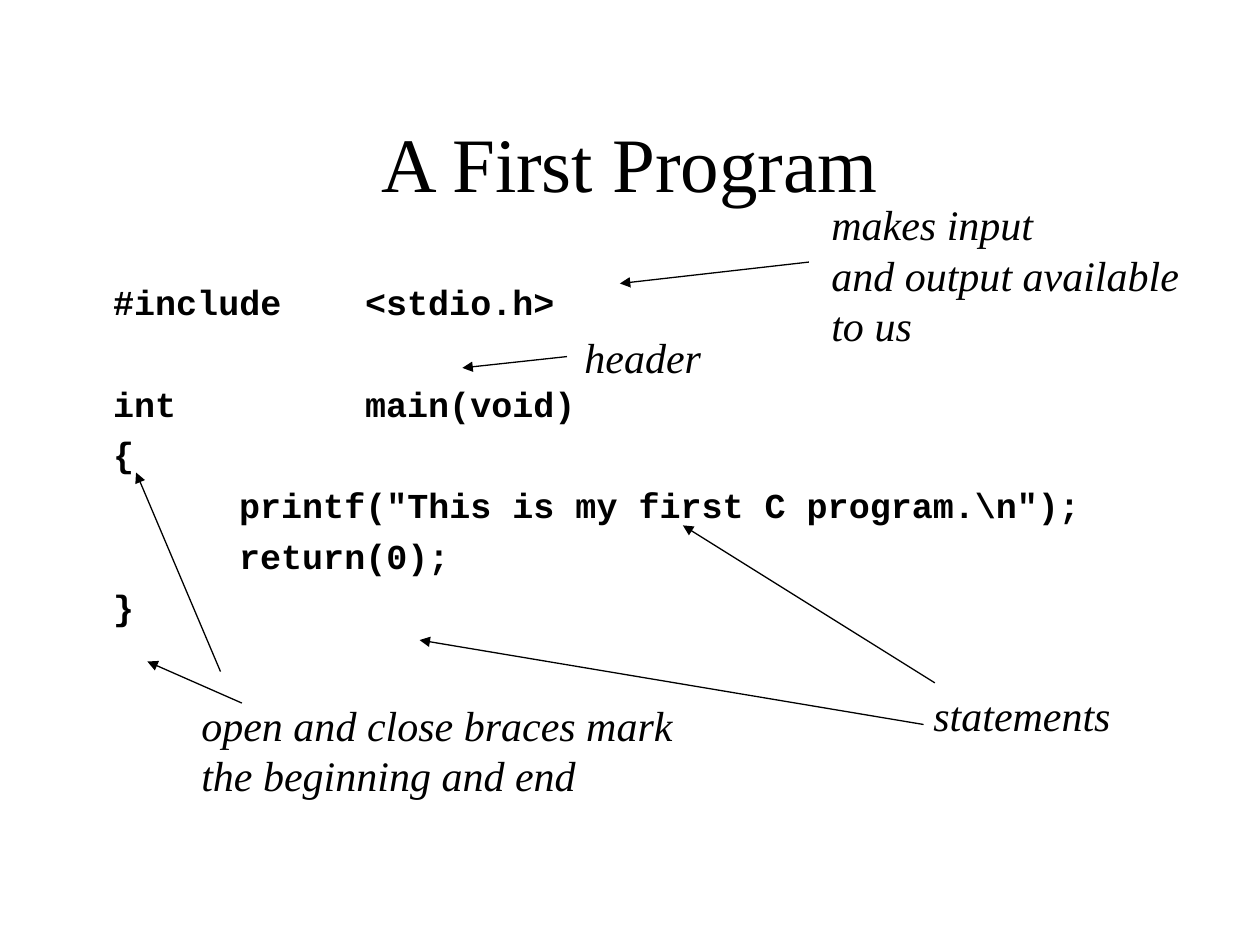
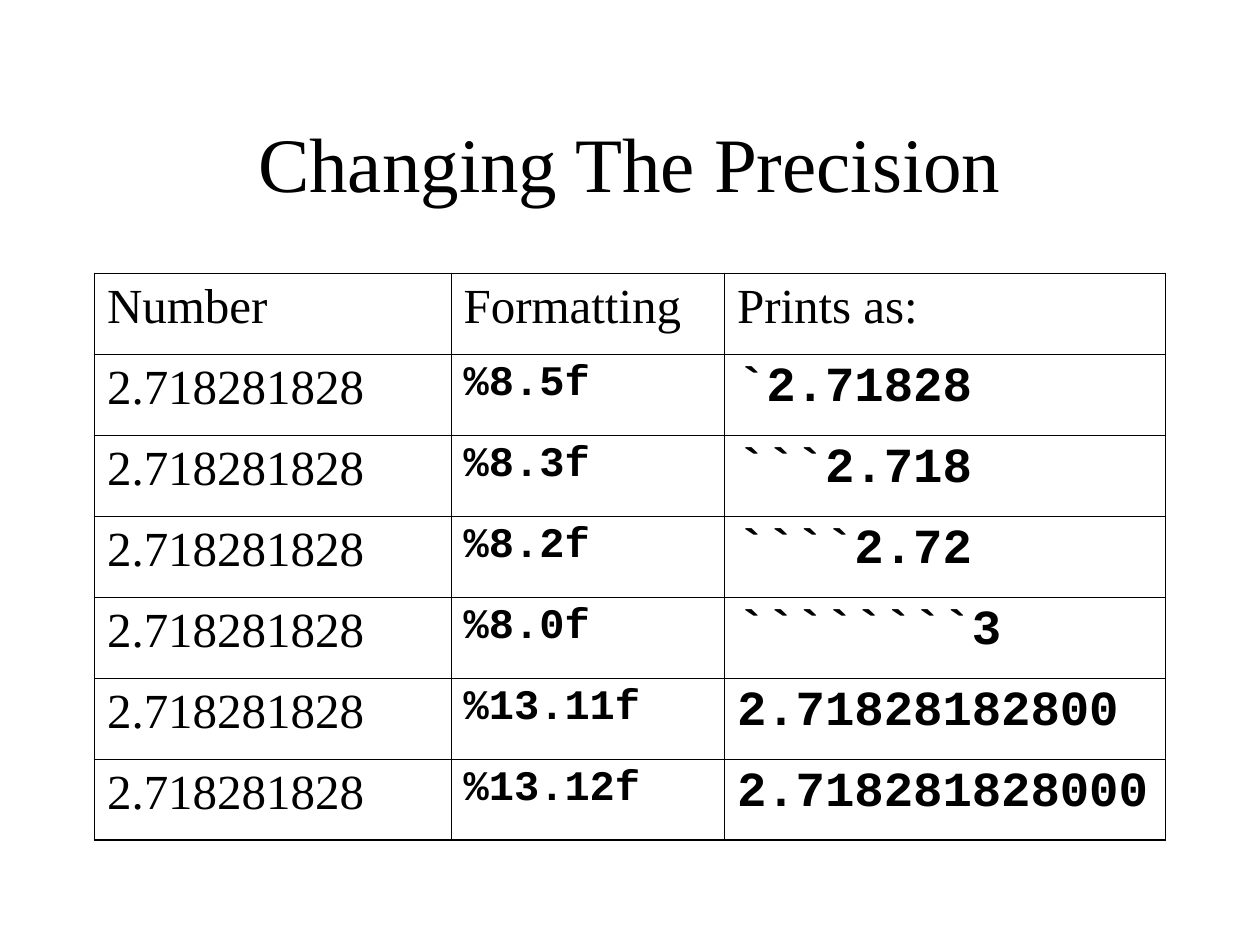
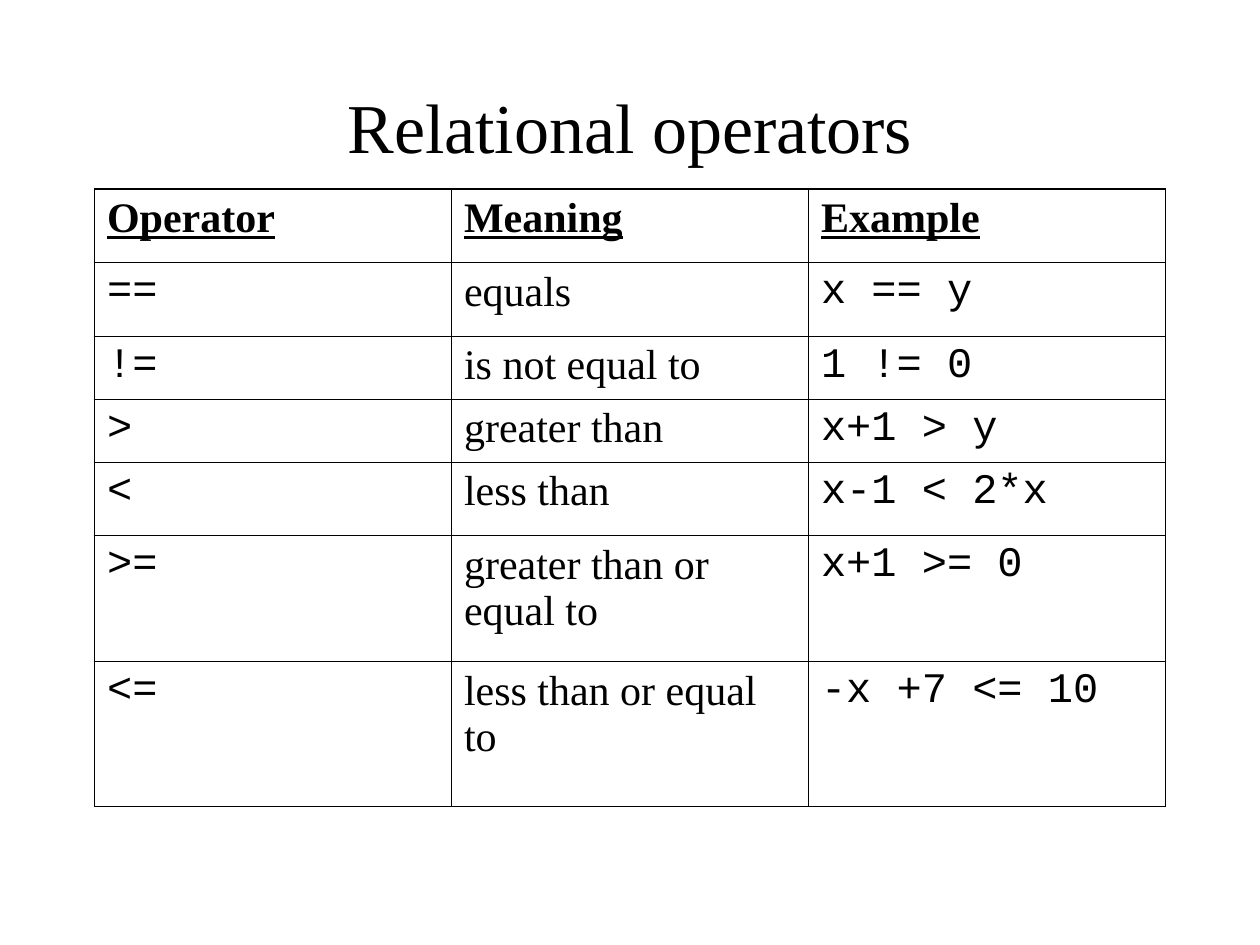
from lxml import etree
from pptx import Presentation
from pptx.dml.color import RGBColor
from pptx.enum.shapes import MSO_CONNECTOR
from pptx.enum.text import MSO_ANCHOR, PP_ALIGN
from pptx.oxml.ns import qn
from pptx.util import Inches, Pt

STRAIGHT = MSO_CONNECTOR.STRAIGHT
MIDDLE = MSO_ANCHOR.MIDDLE
CENTER = PP_ALIGN.CENTER

SERIF = "Times New Roman"
MONO = "Courier New"
BLACK = "000000"
MARGIN = 0.75
CONTENT_WIDTH = 8.5
LINE_FACTOR = 1.2
OUTER_LINE, INNER_LINE = 1.08, 0.45

CODE_SIZE = 20
CODE_PITCH = 29
# Each entry: blank lines before it, then the line itself
CODE_LINES = [
    (0, "#include\t<stdio.h>"),
    (1, "int\t\tmain(void)"),
    (0, "{"),
    (0, "\tprintf(\"This is my first C program.\\n\");"),
    (0, "\treturn(0);"),
    (0, "}"),
]
# Each callout: box, text lines, arrows as (start, end)
CALLOUTS = [
    ((7.31, 5.42, 1.7, 0.5), ["statements"],
     [((7.42, 5.42), (5.42, 4.17)), ((7.33, 5.75), (3.33, 5.08))]),
    ((4.54, 2.58, 1.22, 0.5), ["header"],
     [((4.5, 2.83), (3.67, 2.92))]),
    ((1.5, 5.5, 4.04, 0.9),
     ["open and close braces mark", "the beginning and end"],
     [((1.92, 5.58), (1.17, 5.25)), ((1.75, 5.33), (1.08, 3.75))]),
    ((6.5, 1.53, 3.06, 1.3),
     ["makes input", "and output available", "to us"],
     [((6.42, 2.08), (4.92, 2.25))]),
]

NUMBER = "2.718281828"
PRECISION_HEADER = ["Number", "Formatting", "Prints as:"]
PRECISION_ROWS = [(NUMBER, pattern, printed) for pattern, printed in [
    ("%8.5f", "`2.71828"),
    ("%8.3f", "```2.718"),
    ("%8.2f", "````2.72"),
    ("%8.0f", "````````3"),
    ("%13.11f", "2.71828182800"),
    ("%13.12f", "2.718281828000"),
]]
PRECISION_HEADER_STYLE = {"size": 28, "font": SERIF}
PRECISION_STYLES = [
    {"size": 28, "font": SERIF},
    {"size": 24, "font": MONO, "bold": True},
    {"size": 28, "font": MONO, "bold": True},
]

OPERATOR_HEADER = ["Operator", "Meaning", "Example"]
OPERATOR_ROWS = [
    ("==", "equals", "x == y"),
    ("!=", "is not equal to", "1 != 0"),
    (">", "greater than", "x+1 > y"),
    ("<", "less than", "x-1 < 2*x"),
    (">=", "greater than or equal to", "x+1 >= 0"),
    ("<=", "less than or equal to", "-x +7 <= 10"),
]
OPERATOR_HEADER_STYLE = {"size": 24, "font": SERIF, "bold": True, "underline": True}
OPERATOR_STYLES = [{"size": 24, "font": font} for font in (MONO, SERIF, MONO)]
TALL_ROW = 7 / 12
OPERATOR_HEIGHTS = [TALL_ROW, TALL_ROW, 0.5, 0.5, TALL_ROW, 1, 1.15]


def color(hex_value):
    return RGBColor.from_string(hex_value)


def add_run(paragraph, text, size, font, bold=False, italic=False, underline=False):
    run = paragraph.add_run()
    run.text = text
    run.font.size = Pt(size)
    run.font.name = font
    run.font.bold = bold
    run.font.italic = italic
    run.font.underline = underline
    run.font.color.rgb = color(BLACK)


def add_text_box(slide, box, lines, pitch, **style):
    """Add one paragraph per line, with a fixed line pitch in points."""
    frame = slide.shapes.add_textbox(*map(Inches, box)).text_frame
    frame.word_wrap = True
    for index, line in enumerate(lines):
        paragraph = frame.paragraphs[0] if index == 0 else frame.add_paragraph()
        paragraph.line_spacing = Pt(pitch)
        add_run(paragraph, line, **style)
    return frame


def add_title(slide, text, size=44, height=1.25):
    frame = add_text_box(slide, (MARGIN, 0.66, CONTENT_WIDTH, height), [text],
                         size * LINE_FACTOR, size=size, font=SERIF)
    frame.vertical_anchor = MIDDLE
    frame.paragraphs[0].alignment = CENTER


def add_code(slide):
    frame = add_text_box(slide, (0.8, 2.11, CONTENT_WIDTH, 4.5),
                         [line for _, line in CODE_LINES], CODE_PITCH,
                         size=CODE_SIZE, font=MONO, bold=True)
    for paragraph, (blank_lines, _) in zip(frame.paragraphs, CODE_LINES):
        paragraph.space_before = Pt(blank_lines * CODE_PITCH)
        properties = paragraph._p.get_or_add_pPr()
        tabs = etree.SubElement(properties, qn("a:tabLst"))
        for inch in range(1, 8):
            etree.SubElement(tabs, qn("a:tab"), pos=str(Inches(inch)), algn="l")


def add_arrow(slide, start, end):
    connector = slide.shapes.add_connector(STRAIGHT, *map(Inches, start + end))
    connector.line.color.rgb = color(BLACK)
    connector.line.width = Pt(0.75)
    etree.SubElement(connector.line._get_or_add_ln(), qn("a:tailEnd"), type="triangle")
    etree.SubElement(connector._element.spPr, qn("a:effectLst"))


def add_callout(slide, box, lines, arrows):
    for start, end in arrows:
        add_arrow(slide, start, end)
    size = 24
    add_text_box(slide, box, lines, size * LINE_FACTOR,
                 size=size, font=SERIF, italic=True)


def set_border(cell, side, width):
    line = etree.SubElement(cell._tc.get_or_add_tcPr(), qn(f"a:ln{side}"),
                            w=str(Pt(width)))
    fill = etree.SubElement(line, qn("a:solidFill"))
    etree.SubElement(fill, qn("a:srgbClr"), val=BLACK)


def add_grid(slide, top, widths, heights, header, header_style, rows, styles):
    """Add a ruled table whose outer lines are heavier than the inner ones."""
    row_count, column_count = len(heights), len(widths)
    table = slide.shapes.add_table(
        row_count, column_count, Inches(MARGIN), Inches(top),
        Inches(sum(widths)), Inches(sum(heights))).table
    table.first_row = table.horz_banding = False
    for column, width in zip(table.columns, widths):
        column.width = Inches(width)
    for row, height in zip(table.rows, heights):
        row.height = Inches(height)

    for r, texts in enumerate([header] + rows):
        row_styles = styles if r else [header_style] * column_count
        for c, (text, style) in enumerate(zip(texts, row_styles)):
            cell = table.cell(r, c)
            paragraph = cell.text_frame.paragraphs[0]
            paragraph.space_before = Pt(style["size"] / 4)
            add_run(paragraph, text, **style)
            outer_sides = {"L": c == 0, "R": c == column_count - 1,
                           "T": r == 0, "B": r == row_count - 1}
            for side, is_outer in outer_sides.items():
                set_border(cell, side, OUTER_LINE if is_outer else INNER_LINE)
            cell.fill.background()


def main():
    presentation = Presentation()
    presentation.slide_width = Inches(10)
    presentation.slide_height = Inches(7.5)
    blank = presentation.slide_layouts[6]

    slide = presentation.slides.add_slide(blank)
    add_title(slide, "A First Program")
    add_code(slide)
    for box, lines, arrows in CALLOUTS:
        add_callout(slide, box, lines, arrows)

    slide = presentation.slides.add_slide(blank)
    add_title(slide, "Changing The Precision")
    add_grid(slide, 2.17, [2.83, 2.17, 3.5], [4.5 / 7] * 7,
             PRECISION_HEADER, PRECISION_HEADER_STYLE,
             PRECISION_ROWS, PRECISION_STYLES)

    slide = presentation.slides.add_slide(blank)
    add_title(slide, "Relational operators", size=40, height=0.67)
    add_grid(slide, 1.5, [CONTENT_WIDTH / 3] * 3, OPERATOR_HEIGHTS,
             OPERATOR_HEADER, OPERATOR_HEADER_STYLE,
             OPERATOR_ROWS, OPERATOR_STYLES)

    presentation.save("out.pptx")


if __name__ == "__main__":
    main()
